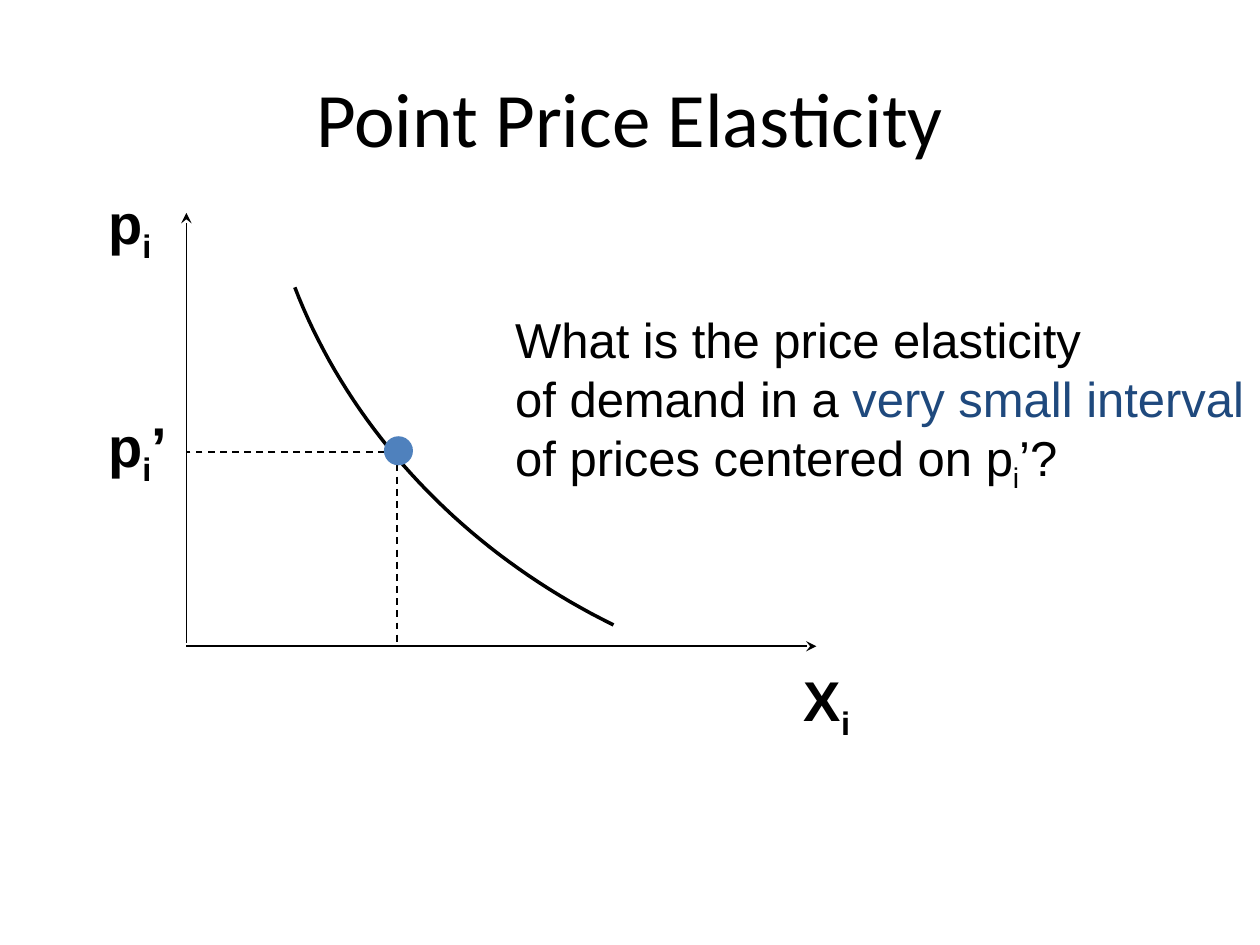
from lxml import etree
from pptx import Presentation
from pptx.dml.color import RGBColor
from pptx.enum.dml import MSO_LINE
from pptx.enum.shapes import MSO_CONNECTOR, MSO_SHAPE
from pptx.enum.text import MSO_ANCHOR, MSO_AUTO_SIZE, PP_ALIGN
from pptx.oxml.ns import qn
from pptx.util import Pt

BLACK = RGBColor(0x00, 0x00, 0x00)
NAVY = RGBColor(0x1F, 0x49, 0x7D)
BLUE = RGBColor(0x4F, 0x81, 0xBD)
STRAIGHT = MSO_CONNECTOR.STRAIGHT
DASH = MSO_LINE.DASH
OVAL = MSO_SHAPE.OVAL
MIDDLE = MSO_ANCHOR.MIDDLE
CENTER = PP_ALIGN.CENTER
GROW = MSO_AUTO_SIZE.SHAPE_TO_FIT_TEXT
BREAK = "\n"
SUB = "sub"


class Deck:
    """Slide style and the slide being drawn."""
    title_font, body_font = "Calibri", "Arial"

    def __init__(self, prs):
        self.s = prs.slides.add_slide(prs.slide_layouts[5])

    def format(self, p, font, size, bold=False):
        p.font.name, p.font.size, p.font.bold = font, Pt(size), bold
        p.font.color.rgb = BLACK

    def title(self, text, x, y, w, h):
        sp = self.s.shapes.title
        sp.left, sp.top, sp.width, sp.height = Pt(x), Pt(y), Pt(w), Pt(h)
        tf = sp.text_frame
        tf.text, tf.vertical_anchor = text, MIDDLE
        p = tf.paragraphs[0]
        p.alignment = CENTER
        self.format(p, self.title_font, 44)

    def text(self, parts, x, y, w, h, size, bold=False):
        """Each part is a text, BREAK, or (text, SUB or colour)."""
        sp = self.s.shapes.add_textbox(Pt(x), Pt(y), Pt(w), Pt(h))
        tf = sp.text_frame
        tf.word_wrap, tf.auto_size = False, GROW
        p = tf.paragraphs[0]
        self.format(p, self.body_font, size, bold)
        for part in parts:
            if part == BREAK:
                p.add_line_break()
                continue
            text, look = part if isinstance(part, tuple) else (part, None)
            r = p.add_run()
            r.text = text
            if look == SUB:
                r._r.get_or_add_rPr().set("baseline", "-25000")
            elif look is not None:
                r.font.color.rgb = look

    def line(self, start, end, dash=None, arrow=False):
        cx = self.s.shapes.add_connector(STRAIGHT, *map(Pt, start + end))
        cx.line.color.rgb, cx.line.width = BLACK, Pt(1)
        if dash is not None:
            cx.line.dash_style = dash
        if arrow:
            etree.SubElement(cx.line._get_or_add_ln(), qn("a:tailEnd"), type="stealth")
        etree.SubElement(cx._element.spPr, qn("a:effectLst"))

    def curve(self, p0, p1, p2, p3, steps=40):
        """Cubic Bézier curve through evenly spaced parameters."""
        points = []
        for i in range(steps + 1):
            t = i / steps
            u = 1 - t
            points.append(tuple(
                Pt(u**3 * a + 3 * u * u * t * b + 3 * u * t * t * c + t**3 * d)
                for a, b, c, d in zip(p0, p1, p2, p3)))
        fb = self.s.shapes.build_freeform(*points[0])
        fb.add_line_segments(points[1:], close=False)
        sp = fb.convert_to_shape()
        sp.shadow.inherit = False
        sp.fill.background()
        sp.line.color.rgb, sp.line.width = BLACK, Pt(2)

    def dot(self, x, y, d):
        sp = self.s.shapes.add_shape(OVAL, Pt(x), Pt(y), Pt(d), Pt(d))
        sp.shadow.inherit = False
        sp.fill.solid()
        sp.fill.fore_color.rgb = BLUE
        sp.line.fill.background()


def main():
    prs = Presentation()
    prs.slide_width, prs.slide_height = Pt(720), Pt(540)
    deck = Deck(prs)
    deck.title("Point Price Elasticity", 36, 21.6, 648, 90)

    # Axes and their labels
    axis_x, axis_y = 106.5, 369.3
    deck.line((axis_x, 367.2), (axis_x, 121.7), arrow=True)
    deck.line((axis_x, axis_y), (466.5, axis_y), arrow=True)
    deck.text(["p", ("i", SUB)], 54.7, 104.4, 39.6, 45.4, 32, True)
    deck.text(["X", ("i", SUB)], 452.2, 376.6, 41.8, 45.4, 32, True)

    # Price guide and its label
    point_x, point_y = 226.8, 258.5
    deck.line((point_x, point_y), (axis_x, point_y), DASH)
    deck.text(["p", ("i", SUB), "’"], 54.7, 231.8, 49, 45.4, 32, True)

    # Demand curve
    deck.curve((168.5, 164.2), (200.2, 246.2), (265.7, 315.4), (350.6, 357.1))

    # Question
    deck.text(["What is the price elasticity", BREAK,
               "of demand in a ", ("very small interval", NAVY), BREAK,
               "of prices centered on p", ("i", SUB), "’?"],
              287.3, 173.5, 432.7, 108, 28)

    # Quantity guide and the point on the curve
    deck.line((point_x, point_y), (point_x, axis_y), DASH)
    deck.dot(219.4, 249.3, 16.6)

    prs.save("out.pptx")


if __name__ == "__main__":
    main()
